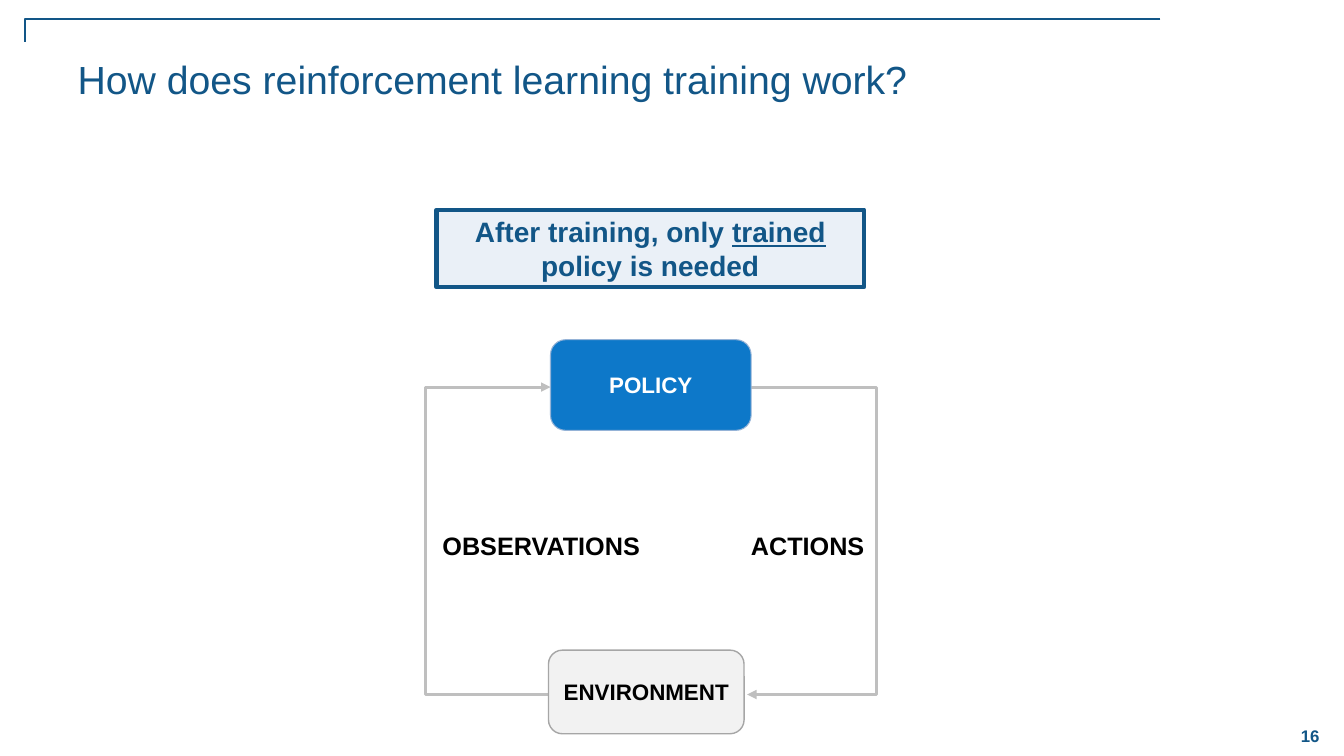
from lxml.etree import SubElement
from pptx import Presentation
from pptx.dml.color import RGBColor
from pptx.enum.shapes import MSO_SHAPE
from pptx.enum.text import MSO_ANCHOR, PP_ALIGN
from pptx.oxml.ns import qn
from pptx.util import Inches, Pt

NAVY = RGBColor(0x12, 0x56, 0x87)
BLUE = RGBColor(0x0D, 0x78, 0xC9)
PALE_BLUE = RGBColor(0xEA, 0xF0, 0xF7)
EDGE_BLUE = RGBColor(0x95, 0xB3, 0xD7)
LIGHT_GREY = RGBColor(0xF2, 0xF2, 0xF2)
EDGE_GREY = RGBColor(0xA6, 0xA6, 0xA6)
ARROW_GREY = RGBColor(0xBF, 0xBF, 0xBF)
WHITE = RGBColor(0xFF, 0xFF, 0xFF)
BLACK = RGBColor(0, 0, 0)


def write_text(frame, text, size=18, color=BLACK, bold=True, underlined="",
               align=PP_ALIGN.LEFT, anchor=MSO_ANCHOR.TOP, wrap=True):
    """Fill a text frame with one formatted paragraph, underlining one phrase."""
    frame.word_wrap = wrap
    frame.vertical_anchor = anchor
    paragraph = frame.paragraphs[0]
    paragraph.alignment = align
    parts = text.partition(underlined) if underlined else (text,)
    for part in parts:
        run = paragraph.add_run()
        run.text = part
        font = run.font
        font.name, font.size, font.bold = "Arial", Pt(size), bold
        font.color.rgb = color
        if underlined and part == underlined:
            font.underline = True


def add_label(slide, left, top, width, height, text, **text_format):
    """Place free-standing text in the given box."""
    label = slide.shapes.add_textbox(
        Inches(left), Inches(top), Inches(width), Inches(height))
    write_text(label.text_frame, text, **text_format)


def add_node(slide, preset, left, top, width, height, text, fill, edge,
             edge_width, **text_format):
    """Place a filled, outlined shape with centred text."""
    node = slide.shapes.add_shape(
        preset, Inches(left), Inches(top), Inches(width), Inches(height))
    node.shadow.inherit = False
    node.fill.solid()
    node.fill.fore_color.rgb = fill
    node.line.color.rgb = edge
    node.line.width = Pt(edge_width)
    write_text(node.text_frame, text, align=PP_ALIGN.CENTER,
               anchor=MSO_ANCHOR.MIDDLE, **text_format)


def add_route(slide, points, color, width, arrow=False):
    """Draw an open line through the points, with an optional arrowhead."""
    (start_x, start_y), *rest = points
    builder = slide.shapes.build_freeform(
        Inches(start_x), Inches(start_y), scale=1.0)
    builder.add_line_segments([(Inches(x), Inches(y)) for x, y in rest], close=False)
    route = builder.convert_to_shape()
    route.shadow.inherit = False
    route.fill.background()
    route.line.color.rgb = color
    route.line.width = Pt(width)
    if arrow:
        SubElement(route.line._get_or_add_ln(), qn("a:tailEnd"), type="triangle")


def add_frame(slide, left, top, width, height):
    """Draw the corner rule and the slide number within the slide box."""
    rule_left, rule_top = left + 0.25, top + 0.19
    add_route(slide, [(left + 11.51, rule_top), (rule_left, rule_top),
                      (rule_left, rule_top + 0.23)], NAVY, 1)
    add_label(slide, left + width - 0.67, top + height - 0.41, 0.67, 0.42, "16",
              size=12, color=NAVY, align=PP_ALIGN.CENTER, anchor=MSO_ANCHOR.MIDDLE)


def add_title(slide, left, top, width, height):
    """Move the title placeholder to the box and fill it."""
    title = slide.shapes.title
    title.left, title.top = Inches(left), Inches(top)
    title.width, title.height = Inches(width), Inches(height)
    write_text(title.text_frame, "How does reinforcement learning training work?",
               size=28, color=NAVY, bold=False)


def add_training_loop(slide, left, top, width, height):
    """Draw the policy and environment loop within the given box."""
    right = left + width
    policy_y, environment_y = top + 0.47, top + height - 0.39
    policy_left, environment_left = left + 1.24, left + 1.22
    add_route(slide, [(left + 2.22, policy_y), (right, policy_y),
                      (right, environment_y), (left + 3.19, environment_y)],
              ARROW_GREY, 2.25, arrow=True)
    add_route(slide, [(left + 2.16, environment_y), (left, environment_y),
                      (left, policy_y), (policy_left, policy_y)],
              ARROW_GREY, 2.25, arrow=True)
    add_node(slide, MSO_SHAPE.ROUNDED_RECTANGLE, policy_left, top, 1.99, 0.9,
             "POLICY", BLUE, EDGE_BLUE, 0.75, size=16, color=WHITE)
    add_node(slide, MSO_SHAPE.ROUNDED_RECTANGLE, environment_left,
             top + height - 0.83, 1.94, 0.83, "ENVIRONMENT", LIGHT_GREY,
             EDGE_GREY, 1, size=16, wrap=False)
    label_top = top + 1.84
    add_label(slide, right - 1.34, label_top, 1.34, 0.4, "ACTIONS", wrap=False)
    add_label(slide, left + 0.07, label_top, 2.18, 0.4, "OBSERVATIONS", wrap=False)


def add_takeaway(slide, left, top, width, height):
    """Place the takeaway banner in the given box."""
    add_node(slide, MSO_SHAPE.RECTANGLE, left, top, width, height,
             "After training, only trained policy is needed", PALE_BLUE, NAVY, 3,
             size=20, color=NAVY, underlined="trained")


def main():
    """Build and save the slide."""
    presentation = Presentation()
    presentation.slide_width = Inches(13.33)
    presentation.slide_height = Inches(7.5)
    slide = presentation.slides.add_slide(presentation.slide_layouts[5])
    add_frame(slide, 0, 0, 13.33, 7.5)
    add_title(slide, 0.67, 0.5, 11.78, 1.08)
    add_training_loop(slide, 4.22, 3.37, 4.47, 3.91)
    add_takeaway(slide, 4.33, 2.08, 4.24, 0.77)
    presentation.save("out.pptx")


if __name__ == "__main__":
    main()
